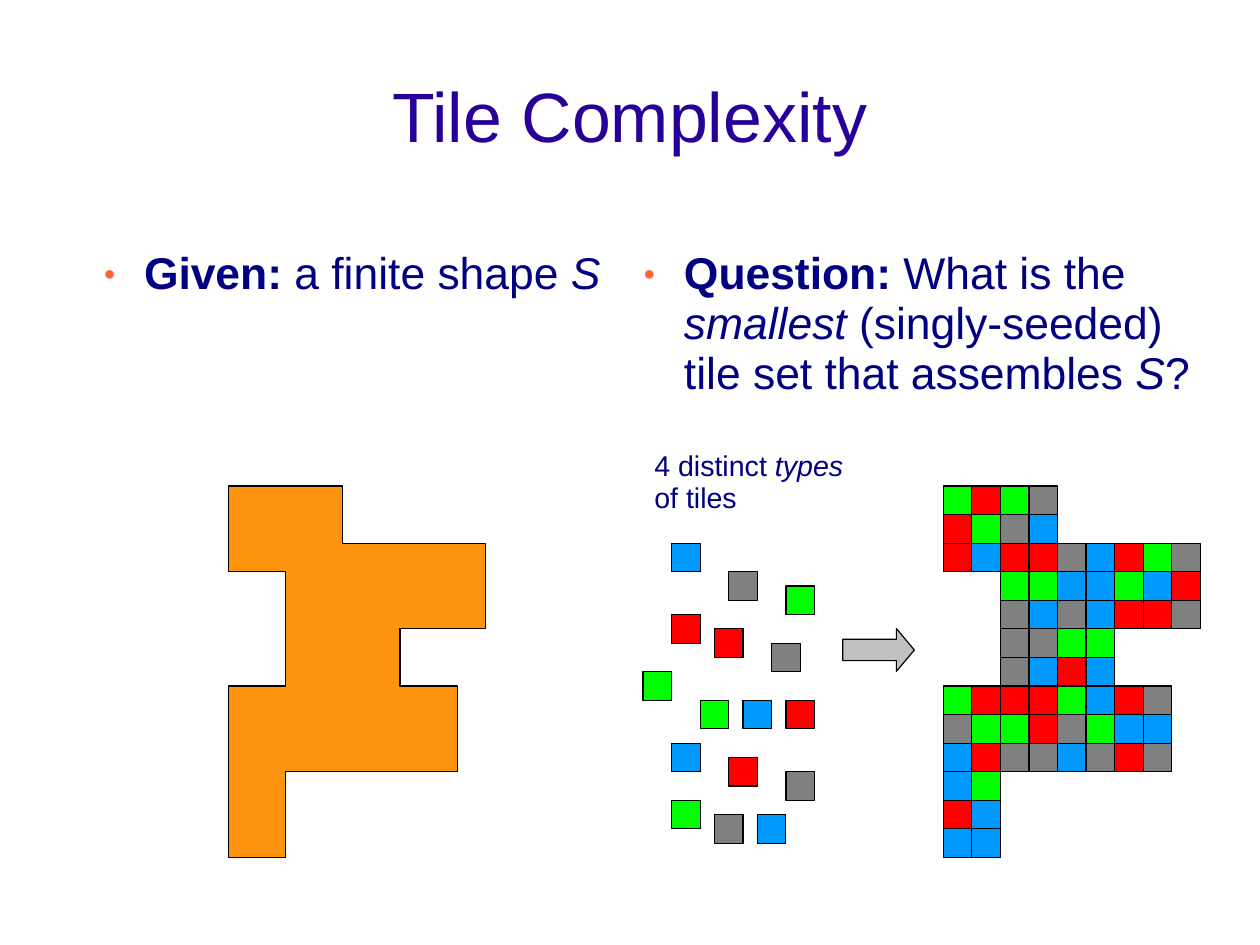
import lxml.etree
import pptx
import pptx.dml.color
import pptx.enum.shapes
import pptx.enum.text
import pptx.oxml.ns
import pptx.util

Cm = pptx.util.Cm
Pt = pptx.util.Pt
SHAPES = pptx.enum.shapes.MSO_SHAPE
ANCHOR = pptx.enum.text.MSO_ANCHOR
ALIGN = pptx.enum.text.PP_ALIGN

COLOURS = {
    "title": "280099",
    "text": "000080",
    "bullet": "FF6633",
    "shape": "FF950E",
    "arrow": "C0C0C0",
    "outline": "000000",
    "G": "00FF00",
    "R": "FF0000",
    "B": "0099FF",
    "K": "808080",
}
FONT = "Arial"
TILE = Cm(2.54) // 4

# Corners of the shape S, counted in tiles from its top left
SHAPE_CORNERS = [
    (0, 0), (4, 0), (4, 2), (9, 2), (9, 5), (6, 5), (6, 7), (8, 7),
    (8, 10), (2, 10), (2, 13), (0, 13), (0, 7), (2, 7), (2, 3), (0, 3),
]

# One letter per tile, a dot where the assembly is empty
ASSEMBLY = [
    "GRGK",
    "RGKB",
    "RBRRKBRGK",
    "..GGBBGBR",
    "..KBKBRRK",
    "..KKGG",
    "..KBRB",
    "GRRRGBRK",
    "KGGRKGBB",
    "BRKKBKRK",
    "BG",
    "RB",
    "BB",
]

# Loose tiles by colour, counted in half tiles
LOOSE_TILES = {
    "R": [(5, 6), (2, 5), (10, 11), (6, 15)],
    "G": [(10, 3), (2, 18), (4, 11), (0, 9)],
    "B": [(7, 11), (2, 0), (8, 19), (2, 14)],
    "K": [(9, 7), (6, 2), (5, 19), (10, 16)],
}


def rgb(name):
    return pptx.dml.color.RGBColor.from_string(COLOURS[name])


def apply(target, values):
    for name, value in values.items():
        setattr(target, name, value)


def paint(shape, colour):
    shape.shadow.inherit = False
    shape.fill.solid()
    shape.fill.fore_color.rgb = rgb(colour)
    shape.line.color.rgb = rgb("outline")
    shape.line.width = Pt(0.75)


def add_bullet(para):
    properties = para._p.get_or_add_pPr()
    properties.set("marL", str(Cm(1.2)))
    properties.set("indent", str(-Cm(0.9)))

    def add(parent, tag, **attributes):
        return lxml.etree.SubElement(parent, pptx.oxml.ns.qn(tag), attributes)

    colour = add(properties, "a:buClr")
    add(colour, "a:srgbClr", val=COLOURS["bullet"])
    add(properties, "a:buSzPct", val="45000")
    add(properties, "a:buFont", typeface=FONT)
    add(properties, "a:buChar", char="●")


def write_text(holder, box, insets, spans, size, colour="text", anchor=ANCHOR.TOP,
               align=ALIGN.LEFT, bullet=False):
    """Place a text holder and fill it with (text, style) spans."""
    apply(holder, dict(zip(("left", "top", "width", "height"), box)))
    frame = holder.text_frame
    apply(frame, {
        "word_wrap": True,
        "auto_size": pptx.enum.text.MSO_AUTO_SIZE.NONE,
        "vertical_anchor": anchor,
    })
    sides = ("margin_left", "margin_top", "margin_right", "margin_bottom")
    apply(frame, dict(zip(sides, insets)))
    para = frame.paragraphs[0]
    if bullet:
        add_bullet(para)
    apply(para, {"alignment": align, "line_spacing": 0.93, "space_before": Pt(0)})
    for text, style in spans:
        span = para.add_run()
        span.text = text
        apply(span.font, {
            "name": FONT,
            "size": Pt(size),
            "bold": style == "bold",
            "italic": style == "italic",
        })
        span.font.color.rgb = rgb(colour)


def add_tile(group, left, top, colour):
    tile = group.shapes.add_shape(SHAPES.RECTANGLE, left, top, TILE, TILE)
    paint(tile, colour)


def draw_finite_shape(page, left, top):
    corners = [(left + x * TILE, top + y * TILE) for x, y in SHAPE_CORNERS]
    builder = page.shapes.build_freeform(*corners[0])
    builder.add_line_segments(corners[1:], close=True)
    paint(builder.convert_to_shape(), "shape")


def draw_assembly(page, left, top):
    group = page.shapes.add_group_shape()
    for row, letters in enumerate(ASSEMBLY):
        for column, letter in enumerate(letters):
            if letter != ".":
                add_tile(group, left + column * TILE, top + row * TILE, letter)


def draw_loose_tiles(page, left, top):
    group = page.shapes.add_group_shape()
    for colour, places in LOOSE_TILES.items():
        for x, y in places:
            add_tile(group, left + x * TILE // 2, top + y * TILE // 2, colour)


def draw_arrow(page, left, top, width, height):
    arrow = page.shapes.add_shape(SHAPES.RIGHT_ARROW, left, top, width, height)
    arrow.adjustments[1] = 0.42
    paint(arrow, "arrow")


def build_page(deck):
    page = deck.slides.add_slide(deck.slide_layouts[3])
    title, given, question = page.placeholders
    body_insets = (0, Cm(0.08), 0, 0)
    write_text(title, (Cm(1.4), Cm(0.84), Cm(25.2), Cm(3.5)), (0, Cm(0.1), 0, 0),
               [("Tile Complexity", None)], 44, "title", ANCHOR.MIDDLE, ALIGN.CENTER)
    write_text(given, (Cm(2), Cm(5.48), Cm(12.02), Cm(2.77)), body_insets,
               [("Given:", "bold"), (" a finite shape ", None), ("S", "italic")],
               28, bullet=True)
    write_text(question, (Cm(14), Cm(5.48), Cm(12.6), Cm(4.98)), body_insets,
               [("Question:", "bold"), (" What is the ", None), ("smallest", "italic"),
                (" (singly-seeded) tile set that assembles ", None),
                ("S", "italic"), ("?", None)],
               28, bullet=True)

    shapes_top = Cm(10.8)
    draw_finite_shape(page, Cm(5.08), shapes_top)
    draw_arrow(page, Cm(18.73), Cm(13.97), Cm(1.59), Cm(0.95))
    draw_assembly(page, Cm(20.96), shapes_top)
    draw_loose_tiles(page, Cm(14.29), shapes_top + 2 * TILE)

    label_box = (Cm(14.29), Cm(9.85), Cm(4.75), Cm(1.68))
    write_text(page.shapes.add_textbox(*label_box), label_box,
               (Cm(0.25), Cm(0.18), Cm(0.25), Cm(0.13)),
               [("4 distinct ", None), ("types", "italic"), (" of tiles", None)], 18)


def main():
    deck = pptx.Presentation()
    apply(deck, {"slide_width": Cm(28), "slide_height": Cm(21)})
    build_page(deck)
    deck.save("out.pptx")


if __name__ == "__main__":
    main()
